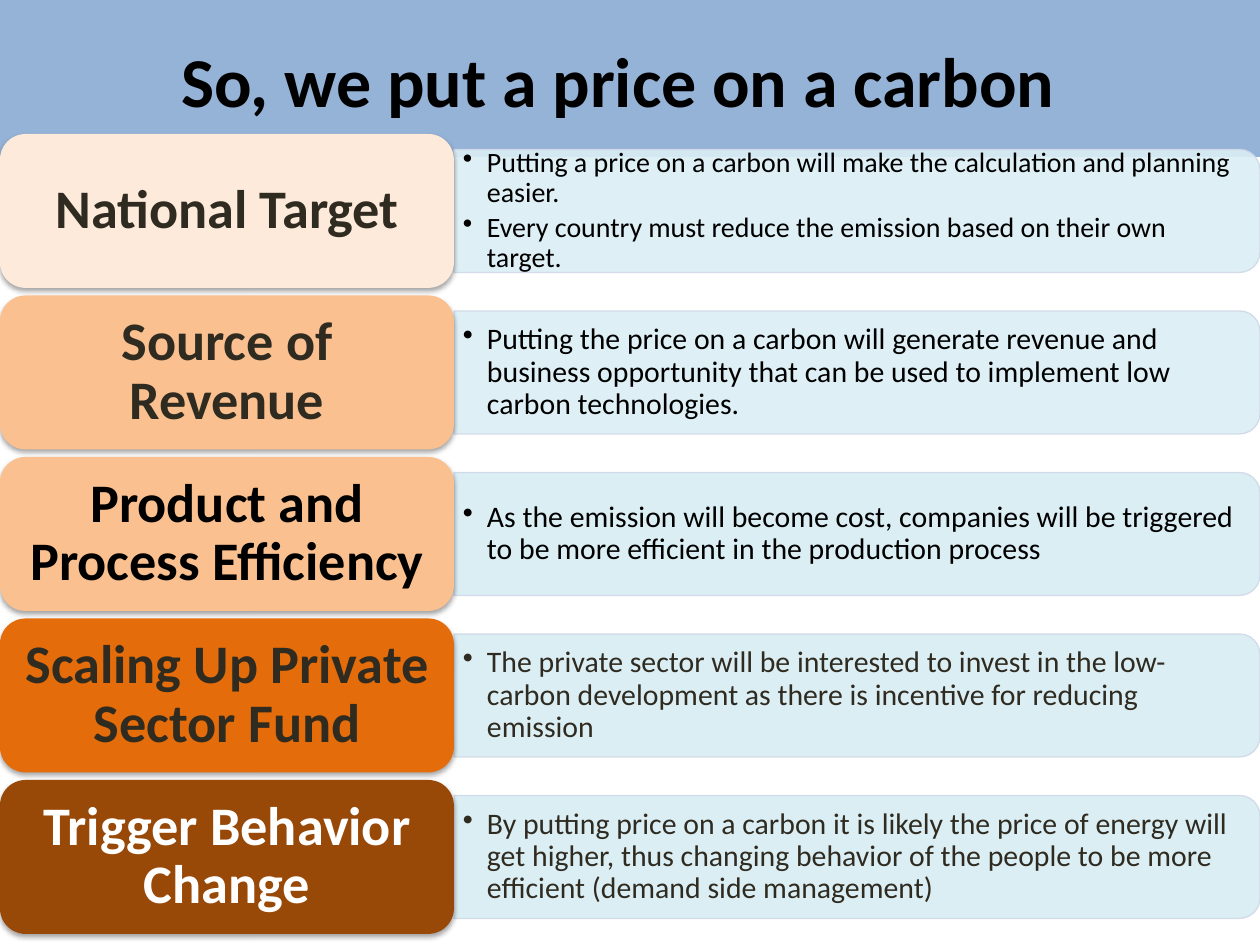
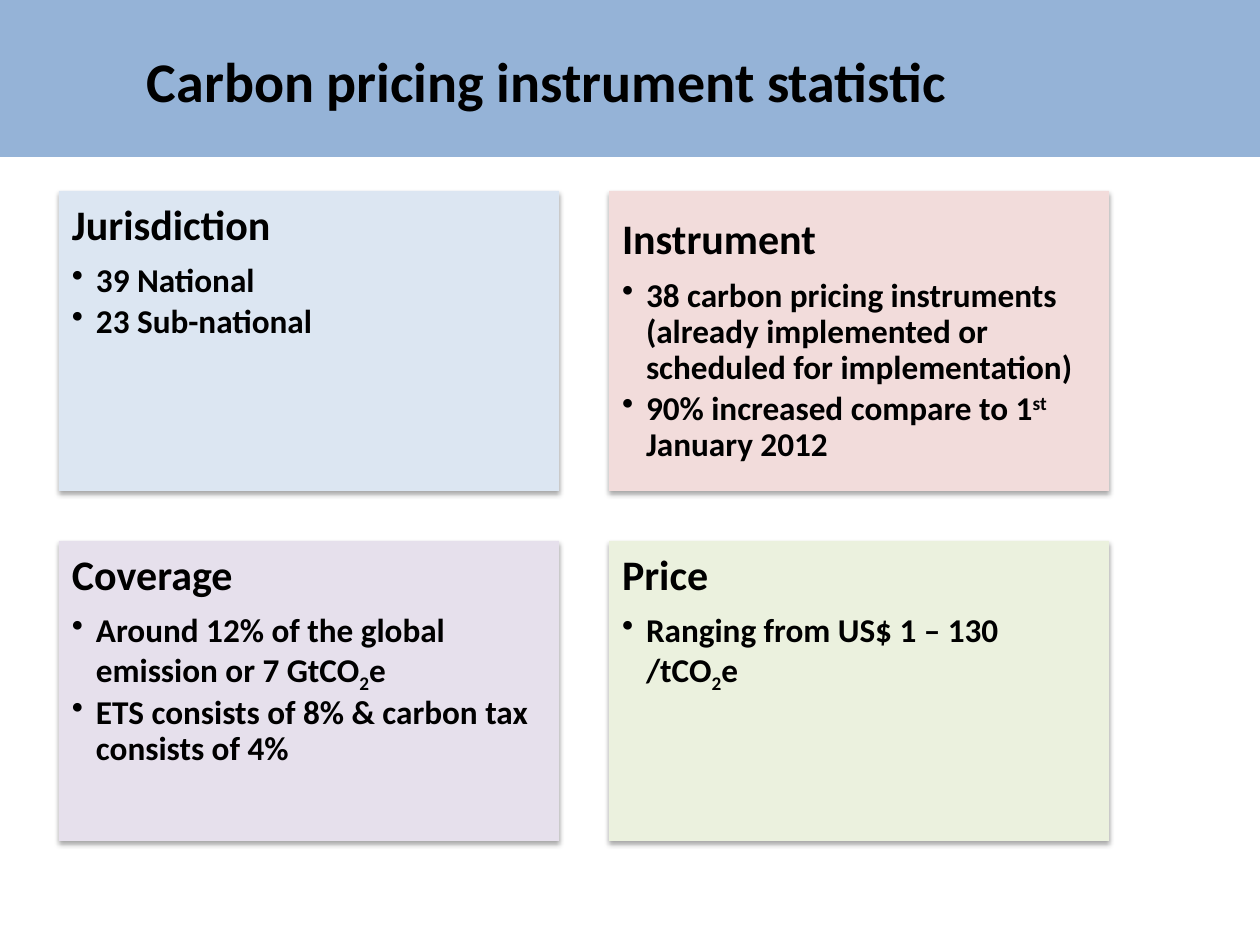
from lxml import etree
from pptx import Presentation
from pptx.dml.color import RGBColor
from pptx.enum.shapes import MSO_SHAPE
from pptx.enum.text import MSO_ANCHOR, MSO_AUTO_SIZE, PP_ALIGN
from pptx.oxml.ns import qn
from pptx.util import Emu, Pt

EMU_PER_PX = 914400 / 126
RECTANGLE, ROUNDED = MSO_SHAPE.RECTANGLE, MSO_SHAPE.ROUNDED_RECTANGLE
ROUNDED_TOP = MSO_SHAPE.ROUND_2_SAME_RECTANGLE
TOP, MIDDLE = MSO_ANCHOR.TOP, MSO_ANCHOR.MIDDLE
LEFT, CENTER = PP_ALIGN.LEFT, PP_ALIGN.CENTER
NO_AUTOFIT = MSO_AUTO_SIZE.NONE

FONT = "Calibri"
BLACK = RGBColor(0x00, 0x00, 0x00)
WHITE = RGBColor(0xFF, 0xFF, 0xFF)
DARK = RGBColor(0x2F, 0x2B, 0x20)
BAND_BLUE = RGBColor(0x95, 0xB3, 0xD7)
DETAIL_FILL = RGBColor(0xDB, 0xEE, 0xF4)
DETAIL_LINE = RGBColor(0xD0, 0xD8, 0xE8)
CREAM = RGBColor(0xFD, 0xEA, 0xDA)
PEACH = RGBColor(0xFA, 0xC0, 0x90)
ORANGE = RGBColor(0xE4, 0x6C, 0x0A)
BROWN = RGBColor(0x98, 0x48, 0x07)
PALE_BLUE = RGBColor(0xDC, 0xE6, 0xF2)
PALE_RED = RGBColor(0xF2, 0xDC, 0xDB)
PALE_PURPLE = RGBColor(0xE6, 0xE0, 0xEC)
PALE_GREEN = RGBColor(0xEB, 0xF1, 0xDE)

SUPERSCRIPT, SUBSCRIPT = 30000, -25000

REASONS_TITLE = "So, we put a price on a carbon"
REASONS = [
    ("National Target", CREAM, DARK, 16, BLACK, [
        "Putting a price on a carbon will make the calculation and planning easier.",
        "Every country must reduce the emission based on their own target."]),
    ("Source of Revenue", PEACH, DARK, 17, BLACK, [
        "Putting the price on a carbon will generate revenue and business opportunity "
        "that can be used to implement low carbon technologies."]),
    ("Product and Process Efficiency", PEACH, BLACK, 17, BLACK, [
        "As the emission will become cost, companies will be triggered to be more "
        "efficient in the production process"]),
    ("Scaling Up Private Sector Fund", ORANGE, DARK, 17, DARK, [
        "The private sector will be interested to invest in the low-carbon development "
        "as there is incentive for reducing emission"]),
    ("Trigger Behavior Change", BROWN, WHITE, 17, DARK, [
        "By putting price on a carbon it is likely the price of energy will get higher, "
        "thus changing behavior of the people to be more efficient (demand side management)"]),
]
TRANSLUCENT_REASONS = 2

STATISTICS_TITLE = "Carbon pricing instrument statistic"
STATISTICS = [
    ("Jurisdiction", PALE_BLUE, TOP, ["39 National", "23 Sub-national"]),
    ("Instrument", PALE_RED, MIDDLE, [
        "38 carbon pricing instruments (already implemented or scheduled for implementation)",
        [("90% increased compare to 1", 0), ("st", SUPERSCRIPT), (" January 2012", 0)]]),
    ("Coverage", PALE_PURPLE, TOP, [
        [("Around 12% of the global emission or 7 GtCO", 0), ("2", SUBSCRIPT), ("e", 0)],
        "ETS consists of 8% & carbon tax consists of 4%"]),
    ("Price", PALE_GREEN, TOP, [
        [("Ranging from US$ 1 – 130 /tCO", 0), ("2", SUBSCRIPT), ("e", 0)]]),
]

SLIDE_WIDTH, SLIDE_HEIGHT, BAND_HEIGHT = 1260, 945, 155
LABEL_WIDTH, LABEL_HEIGHT, FIRST_LABEL_TOP, LAST_LABEL_TOP = 454, 154, 134, 780
DETAIL_HEIGHT, DETAIL_TEXT_WIDTH, DETAIL_TEXT_HEIGHT = 123, 800, 111
CARD_LEFT, CARD_TOP, CARD_WIDTH, CARD_HEIGHT, CARD_GAP = 59, 191, 500, 300, 50
BULLET_INDENT = 24


def px(length):
    return Emu(round(length * EMU_PER_PX))


def add_child(parent, tag, **attributes):
    child = etree.SubElement(parent, qn(tag))
    for name, value in attributes.items():
        child.set(name, str(value))
    return child


def write(box, content, size, color=BLACK, bold=False, align=LEFT,
          bullet=False, after=35, append=False):
    frame = box.text_frame
    paragraph = frame.add_paragraph() if append else frame.paragraphs[0]
    properties = paragraph._p.get_or_add_pPr()
    if after:
        add_child(add_child(properties, "a:spcAft"), "a:spcPct", val=after * 1000)
        paragraph.line_spacing = 0.9
    if bullet:
        paragraph.level = 1
        properties.set("marL", str(px(BULLET_INDENT)))
        properties.set("indent", str(-px(BULLET_INDENT)))
        add_child(properties, "a:buChar", char="•")
    paragraph.alignment = align
    parts = [(content, 0)] if isinstance(content, str) else content
    for text, baseline in parts:
        span = paragraph.add_run()
        span.text = text
        span.font.name = FONT
        span.font.size = Pt(size)
        span.font.bold = bold
        span.font.color.rgb = color
        if baseline:
            span._r.get_or_add_rPr().set("baseline", str(baseline))


def write_bullets(box, bullets, append=False, **style):
    for index, content in enumerate(bullets):
        write(box, content, bullet=True, after=15, append=append or index > 0, **style)


def set_frame(box, anchor=MIDDLE, side=13, end=6):
    frame = box.text_frame
    frame.word_wrap = True
    frame.auto_size = NO_AUTOFIT
    frame.vertical_anchor = anchor
    frame.margin_left = frame.margin_right = px(side)
    frame.margin_top = frame.margin_bottom = px(end)


def add_block(page, kind, left, top, width, height, fill, line=None, line_width=1):
    block = page.shapes.add_shape(kind, px(left), px(top), px(width), px(height))
    block.shadow.inherit = False
    block.fill.solid()
    block.fill.fore_color.rgb = fill
    if line is None:
        block.line.fill.background()
    else:
        block.line.color.rgb = line
        block.line.width = Pt(line_width)
    return block


def add_shadow(block):
    effects = block.element.spPr.find(qn("a:effectLst"))
    shadow = add_child(effects, "a:outerShdw", blurRad=Pt(3.1), dist=Pt(1.8),
                       dir=5400000, rotWithShape=0)
    add_child(add_child(shadow, "a:srgbClr", val=BLACK), "a:alpha", val=35000)


def make_translucent(block, include_fill):
    properties = block.element.spPr
    parts = [properties.find(qn("a:ln"))] + ([properties] if include_fill else [])
    for part in parts:
        color = part.find(qn("a:solidFill")).find(qn("a:srgbClr"))
        add_child(color, "a:alpha", val=90000)


def add_page(deck, text, left, top, width, height, size, align):
    page = deck.slides.add_slide(deck.slide_layouts[5])
    title = page.shapes.title
    band = add_block(page, RECTANGLE, 0, 0, SLIDE_WIDTH, BAND_HEIGHT, BAND_BLUE, BAND_BLUE, 2)
    title.element.addprevious(band.element)
    title.left, title.top = px(left), px(top)
    title.width, title.height = px(width), px(height)
    set_frame(title)
    write(title, text, size, bold=True, align=align, after=0)
    return page


def add_reason(page, index, reason):
    label, fill, label_color, detail_size, detail_color, bullets = reason
    pitch = (LAST_LABEL_TOP - FIRST_LABEL_TOP) / (len(REASONS) - 1)
    top = FIRST_LABEL_TOP + index * pitch
    middle = top + LABEL_HEIGHT / 2
    detail_width = SLIDE_WIDTH - LABEL_WIDTH
    center = LABEL_WIDTH + detail_width / 2

    detail = add_block(page, ROUNDED_TOP, center - DETAIL_HEIGHT / 2, middle - detail_width / 2,
                       DETAIL_HEIGHT, detail_width, DETAIL_FILL, DETAIL_LINE, 0.75)
    detail.rotation = 90
    make_translucent(detail, index < TRANSLUCENT_REASONS)

    box = page.shapes.add_textbox(px(LABEL_WIDTH), px(middle - DETAIL_TEXT_HEIGHT / 2),
                                  px(DETAIL_TEXT_WIDTH), px(DETAIL_TEXT_HEIGHT))
    set_frame(box, side=9, end=5)
    write_bullets(box, bullets, size=detail_size, color=detail_color)

    tile = add_block(page, ROUNDED, 0, top, LABEL_WIDTH, LABEL_HEIGHT, fill)
    add_shadow(tile)
    set_frame(tile, side=16, end=8)
    write(tile, label, 31, color=label_color, bold=True, align=CENTER)


def add_statistic(page, index, statistic):
    heading, fill, anchor, bullets = statistic
    row, column = divmod(index, 2)
    card = add_block(page, RECTANGLE, CARD_LEFT + column * (CARD_WIDTH + CARD_GAP),
                     CARD_TOP + row * (CARD_HEIGHT + CARD_GAP), CARD_WIDTH, CARD_HEIGHT, fill)
    add_shadow(card)
    set_frame(card, anchor, side=13, end=13)
    write(card, heading, 24, bold=True)
    write_bullets(card, bullets, append=True, size=19, bold=True)


def main():
    deck = Presentation()
    deck.slide_width, deck.slide_height = px(SLIDE_WIDTH), px(SLIDE_HEIGHT)

    page = add_page(deck, REASONS_TITLE, 94, 0, 1048, 158, 40, CENTER)
    for index, reason in enumerate(REASONS):
        add_reason(page, index, reason)

    page = add_page(deck, STATISTICS_TITLE, 134, 37, 976, 86, 32, LEFT)
    for index, statistic in enumerate(STATISTICS):
        add_statistic(page, index, statistic)

    deck.save("out.pptx")


if __name__ == "__main__":
    main()
